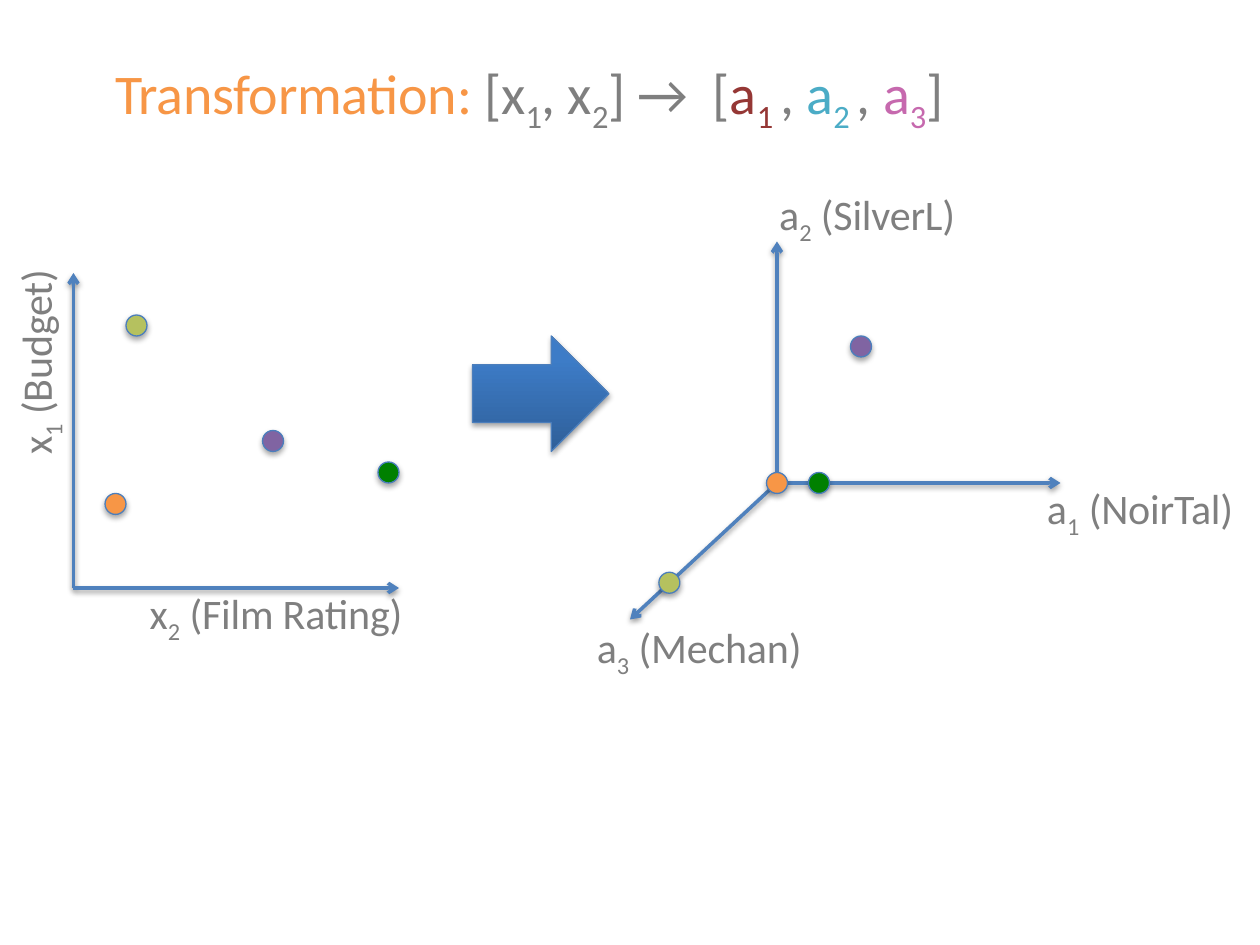
from dataclasses import dataclass

from lxml.etree import SubElement
from pptx import Presentation
from pptx.dml.color import RGBColor
from pptx.enum.shapes import MSO_CONNECTOR, MSO_SHAPE
from pptx.enum.text import MSO_AUTO_SIZE, PP_ALIGN
from pptx.oxml.ns import qn
from pptx.util import Inches, Pt

COLUMNS, ROWS = 120, 90
GRAY, COMMA_GRAY = "7F7F7F", "808080"
ORANGE, OLIVE, PURPLE, GREEN = "F79646", "B5C15F", "8064A2", "008000"
RED, CYAN, PINK = "953735", "4BACC6", "C669AE"
AXIS_BLUE, OUTLINE_BLUE = "4F81BD", "4B7EBC"
DOT_SIZE = 2

presentation = Presentation()
presentation.slide_width = Inches(10)
presentation.slide_height = Inches(7.5)
slide = presentation.slides.add_slide(presentation.slide_layouts[6])


@dataclass
class Piece:
    text: str
    color: str = GRAY
    subscript: bool = False


@dataclass
class Label:
    variable: str
    index: str
    name: str
    column: float
    row: float
    width: float
    height: float = 4.8
    align: PP_ALIGN = PP_ALIGN.CENTER
    rotation: int = 0


@dataclass
class Axis:
    start: tuple[float, float]
    end: tuple[float, float]


@dataclass
class Dot:
    column: float
    row: float
    color: str


def rgb(color: str) -> RGBColor:
    return RGBColor.from_string(color)


def across(columns: float) -> int:
    return round(presentation.slide_width * columns / COLUMNS)


def down(rows: float) -> int:
    return round(presentation.slide_height * rows / ROWS)


def box(column: float, row: float, width: float, height: float) -> tuple[int, ...]:
    return across(column), down(row), across(width), down(height)


def add_shadow(shape, distance: float, opacity: int) -> None:
    properties = shape._element.spPr
    for effects in properties.findall(qn("a:effectLst")):
        properties.remove(effects)
    effects = SubElement(properties, qn("a:effectLst"))
    shadow = SubElement(effects, qn("a:outerShdw"), blurRad=str(Pt(3.15)),
                        dist=str(Pt(distance)), dir="5400000", rotWithShape="0")
    color = SubElement(shadow, qn("a:srgbClr"), val="000000")
    SubElement(color, qn("a:alpha"), val=str(opacity * 1000))


def add_text(place: tuple[int, ...], pieces: list[Piece], size: int,
             spacing: int, align: PP_ALIGN = PP_ALIGN.LEFT):
    shape = slide.shapes.add_textbox(*place)
    frame = shape.text_frame
    frame.word_wrap = True
    frame.margin_left = frame.margin_right = 0
    frame.margin_top = frame.margin_bottom = 0
    paragraph = frame.paragraphs[0]
    paragraph.alignment = align
    paragraph._p.get_or_add_pPr().set("marL", str(Pt(1)))
    for piece in pieces:
        run = paragraph.add_run()
        run.text = piece.text
        run.font.name = "Calibri"
        run.font.size = Pt(size)
        run.font.color.rgb = rgb(piece.color)
        properties = run._r.get_or_add_rPr()
        properties.set("spc", str(spacing))
        if piece.subscript:
            properties.set("baseline", "-25000")
    return shape


def add_label(label: Label) -> None:
    pieces = [Piece(label.variable), Piece(label.index, subscript=True),
              Piece(f" ({label.name})")]
    place = box(label.column, label.row, label.width, label.height)
    shape = add_text(place, pieces, 24, -10, label.align)
    shape.text_frame.auto_size = MSO_AUTO_SIZE.SHAPE_TO_FIT_TEXT
    shape.rotation = label.rotation


def add_axis(axis: Axis) -> None:
    connector = slide.shapes.add_connector(
        MSO_CONNECTOR.STRAIGHT, across(axis.start[0]), down(axis.start[1]),
        across(axis.end[0]), down(axis.end[1]))
    connector.line.color.rgb = rgb(AXIS_BLUE)
    connector.line.width = Pt(2)
    SubElement(connector._element.spPr.find(qn("a:ln")), qn("a:tailEnd"), type="arrow")
    add_shadow(connector, 1.57, 38)


def add_outlined(kind: MSO_SHAPE, place: tuple[int, ...]):
    shape = slide.shapes.add_shape(kind, *place)
    shape.line.color.rgb = rgb(OUTLINE_BLUE)
    shape.line.width = Pt(0.75)
    add_shadow(shape, 1.81, 35)
    return shape


def add_dot(dot: Dot) -> None:
    place = box(dot.column - DOT_SIZE / 2, dot.row - DOT_SIZE / 2, DOT_SIZE, DOT_SIZE)
    shape = add_outlined(MSO_SHAPE.OVAL, place)
    shape.fill.solid()
    shape.fill.fore_color.rgb = rgb(dot.color)


def add_block_arrow() -> None:
    shape = add_outlined(MSO_SHAPE.RIGHT_ARROW, box(45, 32, 13, 11))
    shape.fill.gradient()
    shape.fill.gradient_angle = 90
    stops = zip(shape.fill.gradient_stops, (0, 0.8), ("2F5F99", "3D7CC7"))
    for stop, position, color in stops:
        stop.position = position
        stop.color.rgb = rgb(color)


TITLE = [
    Piece("Transformation: ", ORANGE),
    Piece("[x"), Piece("1", subscript=True),
    Piece(", x"), Piece("2", subscript=True), Piece("] →  ["),
    Piece("a", RED), Piece("1 ", RED, True), Piece(", ", COMMA_GRAY),
    Piece("a", CYAN), Piece("2 ", CYAN, True), Piece(", ", COMMA_GRAY),
    Piece("a", PINK), Piece("3", PINK, True), Piece("]", COMMA_GRAY),
]
LABELS = [
    Label("x", "2", "Film Rating", 5, 56, 42.4),
    Label("x", "1", "Budget", -5.9, 31.8, 18.5, align=PP_ALIGN.LEFT, rotation=270),
    Label("a", "1", "NoirTal", 99, 46, 19, 5),
    Label("a", "3", "Mechan", 53, 59.2, 27),
    Label("a", "2", "SilverL", 69, 18, 27),
]
PLANE_ORIGIN, SPACE_ORIGIN = (7, 56), (74, 46)
AXES = [
    Axis(PLANE_ORIGIN, (7, 26)),
    Axis(PLANE_ORIGIN, (38, 56)),
    Axis(SPACE_ORIGIN, (101, 46)),
    Axis(SPACE_ORIGIN, (74, 23)),
    Axis(SPACE_ORIGIN, (60, 59)),
]
DOTS = [
    Dot(11, 48, ORANGE), Dot(13, 31, OLIVE), Dot(26, 42, PURPLE), Dot(37, 45, GREEN),
    Dot(63.75, 55.5, OLIVE), Dot(*SPACE_ORIGIN, ORANGE),
    Dot(82, 33, PURPLE), Dot(78, 46, GREEN),
]

add_text(box(10.8, 5.6, 88, 13), TITLE, 32, -20)
for label in LABELS:
    add_label(label)
for axis in AXES:
    add_axis(axis)
add_block_arrow()
for dot in DOTS:
    add_dot(dot)

presentation.save("out.pptx")
